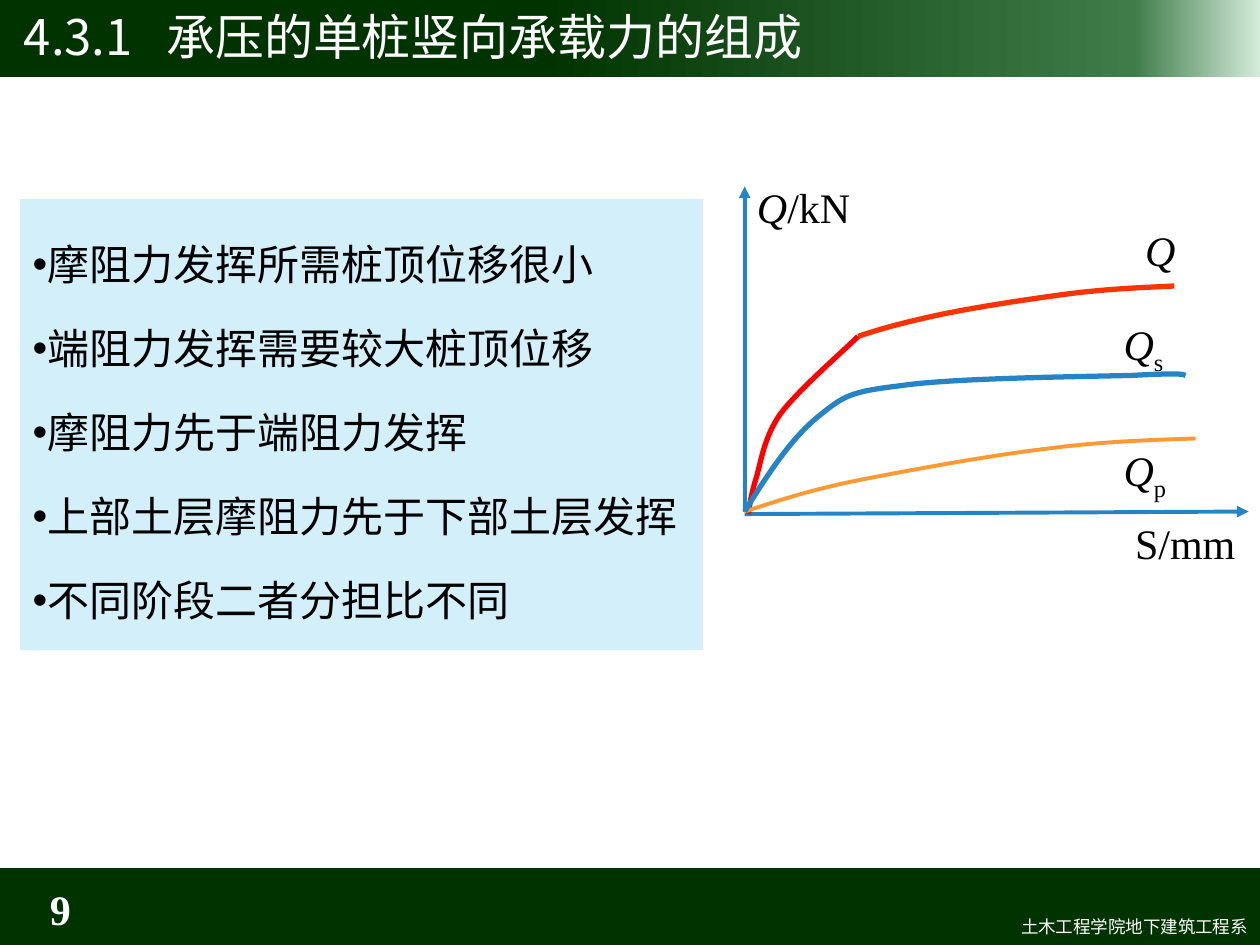
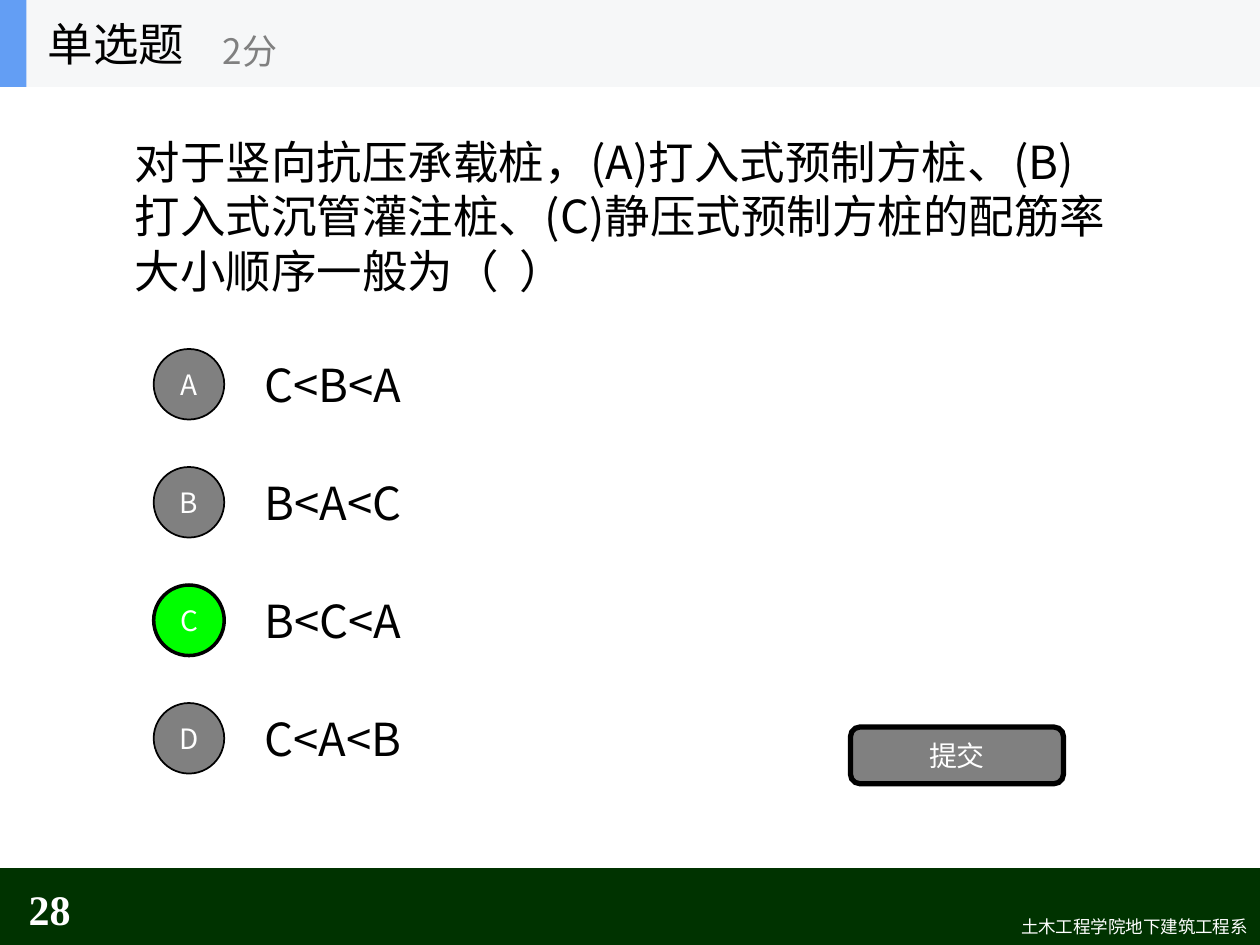
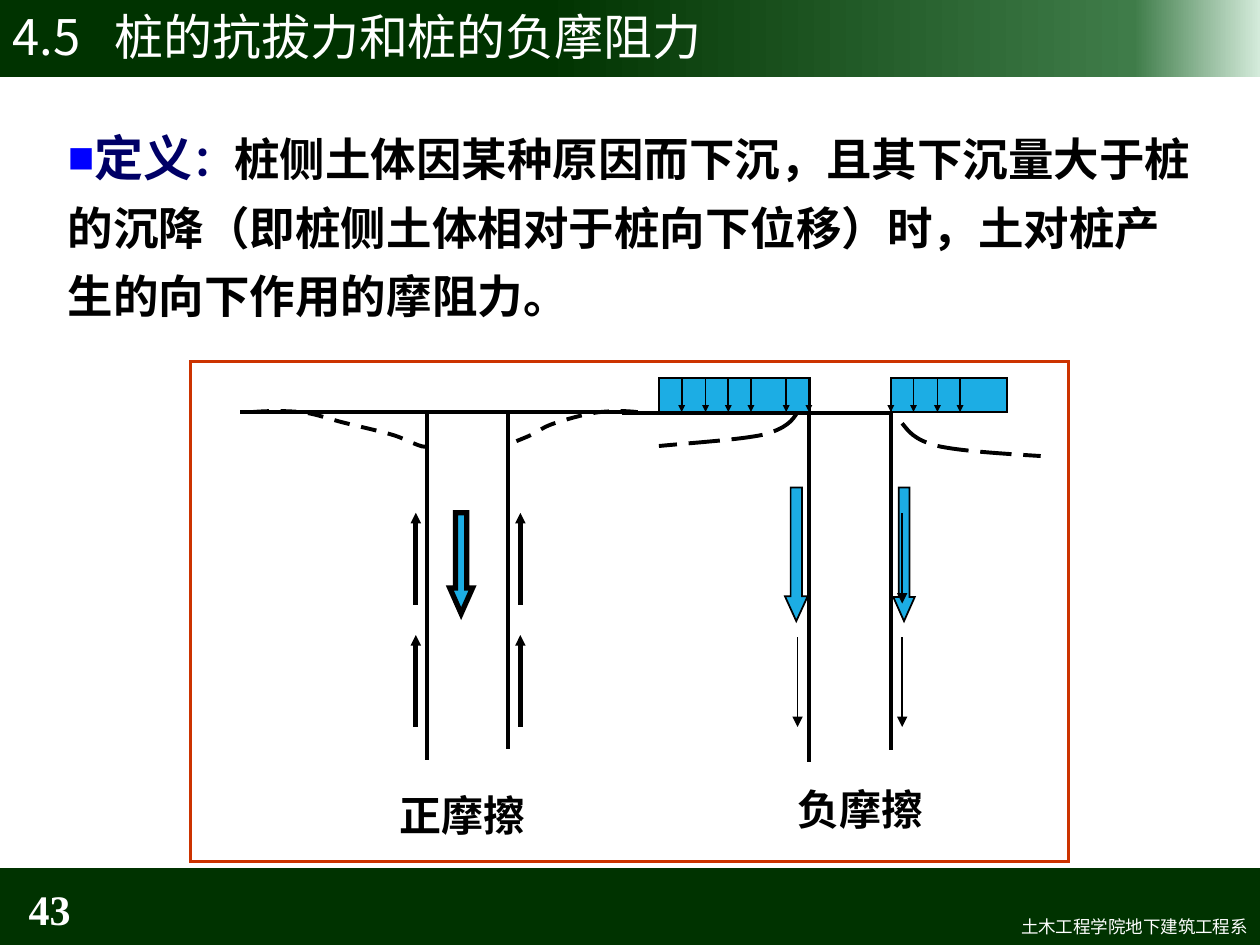
"""Build three slides on the vertical bearing capacity of piles."""
from copy import deepcopy
from dataclasses import dataclass, replace
from typing import NamedTuple

from lxml import etree
from pptx import Presentation
from pptx.dml.color import RGBColor
from pptx.enum.dml import MSO_LINE
from pptx.enum.shapes import MSO_CONNECTOR, MSO_SHAPE
from pptx.enum.text import MSO_ANCHOR, PP_ALIGN
from pptx.oxml.ns import qn
from pptx.shapes.autoshape import Shape
from pptx.slide import Slide
from pptx.text.text import TextFrame, _Paragraph, _Run
from pptx.util import Inches, Pt

LEFT, CENTER, RIGHT = PP_ALIGN.LEFT, PP_ALIGN.CENTER, PP_ALIGN.RIGHT
TOP, MIDDLE = MSO_ANCHOR.TOP, MSO_ANCHOR.MIDDLE
RECTANGLE, ELLIPSE = MSO_SHAPE.RECTANGLE, MSO_SHAPE.OVAL
ROUNDED, DOWN_ARROW = MSO_SHAPE.ROUNDED_RECTANGLE, MSO_SHAPE.DOWN_ARROW
DASH, LONG_DASH = MSO_LINE.DASH, MSO_LINE.LONG_DASH
STRAIGHT = MSO_CONNECTOR.STRAIGHT
SMALL, MEDIUM = "sm", "med"
FLAT, SQUARE = "flat", "sq"

SANS, SERIF = "Noto Sans CJK SC", "Times New Roman"
BLACK, WHITE, GREY = "000000", "FFFFFF", "808080"
DARK_GREEN, AXIS_BLUE, SOIL_BLUE = "003300", "2683C6", "1CADE4"
BAND_STOPS = ((0.43, DARK_GREEN), (0.9, "3F7C49"), (1.0, "D4EBDB"))
DEPARTMENT = "土木工程学院地下建筑工程系"

Point = tuple[float, float]


class Frame(NamedTuple):
    """Position and size in inches."""
    left: float
    top: float
    width: float
    height: float


@dataclass(frozen=True)
class Style:
    """Character formatting."""
    size: float
    color: str = BLACK
    font: str = SANS
    bold: bool = False
    italic: bool = False
    subscript: bool = False


class Span(NamedTuple):
    """A piece of text in one style."""
    text: str
    style: Style


class Stroke(NamedTuple):
    """Outline colour, width in points and dash."""
    color: str = BLACK
    width: float = 2.25
    dash: MSO_LINE | None = None


class Segment(NamedTuple):
    """A straight line, with the size of the arrowhead at its end if any."""
    start: Point
    end: Point
    stroke: Stroke = Stroke()
    arrow: str | None = None


class Curve(NamedTuple):
    """A chain of cubic curves: a start, then three points for each piece."""
    points: tuple[Point, ...]
    stroke: Stroke


class Block(NamedTuple):
    """A filled downward arrow."""
    frame: Frame
    head_ratio: float
    line_width: float


class Caption(NamedTuple):
    """A bold label with its left and top insets."""
    frame: Frame
    text: str
    left_inset: float
    top_inset: float


TOP_BAND, BOTTOM_BAND = Frame(0, -0.03, 10, 0.64), Frame(0, 6.89, 10, 0.64)
SYMBOL = Style(24, font=SERIF, italic=True)
UPRIGHT = replace(SYMBOL, italic=False)
SUBSCRIPT = replace(UPRIGHT, subscript=True)
OPTION = Style(26)
BUTTON = Style(16, WHITE)

FINDINGS = (
    "摩阻力发挥所需桩顶位移很小",
    "端阻力发挥需要较大桩顶位移",
    "摩阻力先于端阻力发挥",
    "上部土层摩阻力先于下部土层发挥",
    "不同阶段二者分担比不同",
)
AXES = (
    Segment((5.91, 4.06), (5.91, 1.48), Stroke(AXIS_BLUE), MEDIUM),
    Segment((5.91, 4.08), (9.91, 4.06), Stroke(AXIS_BLUE), MEDIUM),
)
LOAD_CURVES = (
    Curve(((5.94, 4.08), (5.95, 4.01), (5.96, 3.93), (6, 3.8), (6.04, 3.67), (6.06, 3.48),
           (6.19, 3.29), (6.33, 3.1), (6.7, 2.78), (6.81, 2.67)), Stroke("FF0000", 3)),
    Curve(((5.91, 4.06), (6.16, 3.98), (6.42, 3.89), (6.82, 3.81), (7.23, 3.73), (7.88, 3.61),
           (8.32, 3.56), (8.77, 3.5), (9.21, 3.49), (9.49, 3.48)), Stroke("FF9933")),
    Curve(((5.91, 4.06), (6.09, 3.77), (6.28, 3.48), (6.49, 3.31), (6.7, 3.14), (6.74, 3.11),
           (7.16, 3.06), (7.57, 3), (8.61, 2.99), (8.99, 2.98), (9.36, 2.96), (9.39, 2.97),
           (9.41, 2.98)), Stroke(AXIS_BLUE, 3)),
    Curve(((6.81, 2.67), (6.99, 2.61), (7.17, 2.56), (7.45, 2.5), (7.73, 2.44), (8.19, 2.37),
           (8.5, 2.33), (8.82, 2.29), (9.13, 2.28), (9.32, 2.27)), Stroke("FF3300", 3)),
)
LOAD_LABELS = (
    (Frame(5.91, 1.39, 1.17, 0.5), (Span("Q", SYMBOL), Span("/kN", UPRIGHT))),
    (Frame(8.82, 2.48, 0.67, 0.5), (Span("Q", SYMBOL), Span("s", SUBSCRIPT))),
    (Frame(8.82, 3.48, 0.67, 0.5), (Span("Q", SYMBOL), Span("p", SUBSCRIPT))),
    (Frame(8.99, 1.73, 0.67, 0.5), (Span("Q", SYMBOL),)),
    (Frame(8.91, 4.06, 1.08, 0.5), (Span("S/mm", UPRIGHT),)),
)

QUESTION = ("对于竖向抗压承载桩，(A)打入式预制方桩、(B)打入式沉管灌注桩、"
            "(C)静压式预制方桩的配筋率大小顺序一般为（  ）")
ANSWERS = (("A", "C<B<A"), ("B", "B<A<C"), ("C", "B<C<A"), ("D", "C<A<B"))
CORRECT = "C"
FIRST_ANSWER_TOP, LAST_ANSWER_TOP = 2.77, 5.58

DEFINITION = (
    Span("定义", Style(28, "000066", bold=True)),
    Span("：", Style(24, "000066", bold=True)),
    Span("桩侧土体因某种原因而下沉，且其下沉量大于桩的沉降（即桩侧土体相对于桩向下位移）时，"
         "土对桩产生的向下作用的摩阻力。", Style(26, bold=True)),
)
SURCHARGES = (Frame(5.23, 3, 1.2, 0.27), Frame(7.07, 3, 0.92, 0.27))
SURCHARGE_ARROWS = tuple(
    Segment((x, 3), (x, 3.27), Stroke(width=1), SMALL)
    for x in (5.41, 5.6, 5.78, 5.96, 6.24, 6.42, 7.07, 7.25, 7.44, 7.62)
)
BLOCKS = (
    Block(Frame(3.57, 4.07, 0.18, 0.8), 1.125, 3),
    Block(Frame(6.23, 3.87, 0.18, 1.06), 1.094, 1),
    Block(Frame(7.09, 3.87, 0.17, 1.06), 1.122, 1),
)
PILE_LINES = (
    Segment((1.92, 3.27), (3.39, 3.27)),
    Segment((3.39, 3.27), (4.03, 3.27)),
    Segment((4.03, 3.27), (5.05, 3.27)),
    Segment((3.39, 3.27), (3.39, 6.02)),
    Segment((4.03, 5.93), (4.03, 3.27)),
    Segment((4.95, 3.28), (6.42, 3.28)),
    Segment((6.42, 3.28), (7.07, 3.28)),
    Segment((6.42, 3.28), (6.42, 6.03)),
    Segment((7.07, 5.94), (7.07, 3.28)),
)
FRICTION_UP = tuple(
    Segment((x, bottom), (x, bottom - 0.71), Stroke(width=3), SMALL)
    for x in (3.3, 4.13) for bottom in (4.78, 5.75)
)
FRICTION_DOWN = tuple(
    Segment((x, top), (x, top + 0.71), Stroke(width=1), MEDIUM)
    for x, top in ((6.33, 5.06), (7.16, 4.08), (7.16, 5.06))
)
SETTLEMENTS = (
    Curve(((2.01, 3.27), (2.13, 3.26), (2.26, 3.26), (2.38, 3.27), (2.5, 3.28), (2.62, 3.33),
           (2.75, 3.36), (2.87, 3.39), (3.01, 3.42), (3.11, 3.45), (3.22, 3.48), (3.36, 3.57),
           (3.39, 3.54)), Stroke(dash=DASH)),
    Curve(((5.05, 3.27), (4.96, 3.26), (4.88, 3.26), (4.77, 3.27), (4.66, 3.28), (4.49, 3.33),
           (4.4, 3.36), (4.31, 3.39), (4.28, 3.42), (4.22, 3.45), (4.16, 3.48), (3.99, 3.54),
           (4.03, 3.54)), Stroke(dash=DASH)),
    Curve(((6.33, 3.27), (6.29, 3.34), (6.24, 3.4), (6.06, 3.45), (5.87, 3.49), (5.55, 3.51),
           (5.23, 3.54)), Stroke(dash=LONG_DASH)),
    Curve(((7.16, 3.36), (7.21, 3.42), (7.25, 3.49), (7.44, 3.54), (7.62, 3.58), (7.94, 3.6),
           (8.26, 3.62)), Stroke(dash=LONG_DASH)),
)
FRICTION_CAPTIONS = (
    Caption(Frame(2.99, 6.16, 2.02, 0.61), "正摩擦", 0.18, 0.11),
    Caption(Frame(6.23, 6.17, 1.68, 0.54), "负摩擦", 0.1, 0.05),
)


def rgb(color: str) -> RGBColor:
    """Turn a hex string into a colour."""
    return RGBColor.from_string(color)


def place(frame: Frame) -> tuple[int, ...]:
    """Turn a frame into lengths."""
    return tuple(Inches(value) for value in frame)


def style_run(run: _Run, style: Style) -> None:
    """Format a run, with the sans font for Chinese text."""
    font = run.font
    font.size, font.name = Pt(style.size), style.font
    font.bold, font.italic = style.bold, style.italic
    font.color.rgb = rgb(style.color)
    properties = run._r.get_or_add_rPr()
    if style.subscript:
        properties.set("baseline", "-25000")
    east_asian = etree.Element(qn("a:ea"), typeface=SANS)
    properties.find(qn("a:latin")).addnext(east_asian)


def set_bullet(paragraph: _Paragraph, character: str, color: str = BLACK, percent: int = 100) -> None:
    """Give a paragraph a bullet."""
    properties = paragraph._p.get_or_add_pPr()
    bullet_color = etree.SubElement(properties, qn("a:buClr"))
    etree.SubElement(bullet_color, qn("a:srgbClr"), val=color)
    etree.SubElement(properties, qn("a:buSzPct"), val=str(percent * 1000))
    etree.SubElement(properties, qn("a:buFont"), typeface="Arial")
    etree.SubElement(properties, qn("a:buChar"), char=character)


def set_tab(paragraph: _Paragraph, position: float) -> None:
    """Give a paragraph one left tab stop."""
    tabs = etree.SubElement(paragraph._p.get_or_add_pPr(), qn("a:tabLst"))
    etree.SubElement(tabs, qn("a:tab"), pos=str(Inches(position)), algn="l")


def write(text_frame: TextFrame, spans: tuple[Span, ...], align: PP_ALIGN = LEFT,
          anchor: MSO_ANCHOR = TOP) -> None:
    """Write one paragraph of styled spans."""
    text_frame.word_wrap = True
    text_frame.vertical_anchor = anchor
    paragraph = text_frame.paragraphs[0]
    paragraph.alignment = align
    for span in spans:
        run = paragraph.add_run()
        run.text = span.text
        style_run(run, span.style)


def add_text(slide: Slide, frame: Frame, spans: tuple[Span, ...], align: PP_ALIGN = LEFT,
             anchor: MSO_ANCHOR = TOP) -> TextFrame:
    """Add a text box holding one paragraph."""
    text_frame = slide.shapes.add_textbox(*place(frame)).text_frame
    write(text_frame, spans, align, anchor)
    return text_frame


def set_stroke(shape: Shape, stroke: Stroke | None) -> None:
    """Set or remove an outline."""
    if stroke is None:
        shape.line.fill.background()
        return
    shape.line.color.rgb = rgb(stroke.color)
    shape.line.width = Pt(stroke.width)
    if stroke.dash is not None:
        shape.line.dash_style = stroke.dash
    etree.SubElement(shape.line._get_or_add_ln(), qn("a:miter"), lim="800000")


def add_shape(slide: Slide, kind: MSO_SHAPE, frame: Frame, fill: str | None,
              stroke: Stroke | None = None) -> Shape:
    """Add a preset shape without shadow."""
    shape = slide.shapes.add_shape(kind, *place(frame))
    shape.shadow.inherit = False
    if fill is None:
        shape.fill.background()
    else:
        shape.fill.solid()
        shape.fill.fore_color.rgb = rgb(fill)
    set_stroke(shape, stroke)
    return shape


def add_segment(slide: Slide, segment: Segment, cap: str = FLAT) -> None:
    """Add a straight line or arrow."""
    ends = (Inches(value) for value in segment.start + segment.end)
    connector = slide.shapes.add_connector(STRAIGHT, *ends)
    set_stroke(connector, segment.stroke)
    line = connector.line._get_or_add_ln()
    line.set("cap", cap)
    if segment.arrow:
        etree.SubElement(line, qn("a:tailEnd"), type="triangle", w=segment.arrow, len=segment.arrow)
    etree.SubElement(connector._element.spPr, qn("a:effectLst"))


def add_curve(slide: Slide, curve: Curve) -> None:
    """Add an open outline of cubic curves."""
    start, *vertices = [(Inches(x), Inches(y)) for x, y in curve.points]
    builder = slide.shapes.build_freeform(*start)
    builder.add_line_segments(vertices, close=False)
    shape = builder.convert_to_shape()
    lines = list(shape._element.iter(qn("a:lnTo")))
    for first in range(0, len(lines), 3):
        cubic = etree.Element(qn("a:cubicBezTo"))
        lines[first].addprevious(cubic)
        for line in lines[first:first + 3]:
            cubic.append(line[0])
            line.getparent().remove(line)
    shape.shadow.inherit = False
    shape.fill.background()
    set_stroke(shape, curve.stroke)


def add_footer(slide: Slide, number: int) -> None:
    """Add the bottom band with page number and department."""
    add_shape(slide, RECTANGLE, BOTTOM_BAND, DARK_GREEN)
    add_text(slide, Frame(4.21, 7.22, 5.79, 0.27), (Span(DEPARTMENT, Style(10, WHITE)),), RIGHT)
    page_style = Style(24, WHITE, SERIF, bold=True)
    add_text(slide, Frame(0, 7.01, 0.66, 0.4), (Span(str(number), page_style),), RIGHT, MIDDLE)


def add_title(slide: Slide, number: str, title: str, inset: float, tab: float) -> None:
    """Add the graded top band with a numbered title."""
    band = add_shape(slide, RECTANGLE, TOP_BAND, DARK_GREEN)
    band.fill.gradient()
    band.fill.gradient_angle = 0
    stop_list = band._element.spPr.find(f".//{qn('a:gsLst')}")
    stop_list.append(deepcopy(stop_list[-1]))
    for stop, (position, color) in zip(band.fill.gradient_stops, BAND_STOPS):
        stop.position = position
        stop.color.rgb = rgb(color)
    text_frame = add_text(slide, Frame(0, -0.03, 10, 0.63),
                          (Span(f"{number}\t{title}", Style(28, WHITE)),), LEFT, MIDDLE)
    text_frame.margin_left = Inches(inset)
    set_tab(text_frame.paragraphs[0], tab)


def build_capacity(slide: Slide) -> None:
    """Draw the findings and the load-settlement diagram."""
    add_title(slide, "4.3.1", "承压的单桩竖向承载力的组成", 0.19, 1.13)
    panel = add_shape(slide, RECTANGLE, Frame(0.16, 1.58, 5.42, 3.58), "D2EFFA")
    text_frame = panel.text_frame
    text_frame.text = "\n".join(FINDINGS)
    text_frame.word_wrap = True
    text_frame.vertical_anchor = TOP
    for paragraph in text_frame.paragraphs:
        paragraph.alignment = LEFT
        paragraph.line_spacing = Pt(48)
        set_bullet(paragraph, "•")
        style_run(paragraph.runs[0], Style(24))
    for axis in AXES:
        add_segment(slide, axis)
    for curve in LOAD_CURVES:
        add_curve(slide, curve)
    for frame, spans in LOAD_LABELS:
        add_text(slide, frame, spans)


def build_quiz(slide: Slide) -> None:
    """Draw the single-choice question."""
    add_text(slide, Frame(0.97, 0.54, 8, 2.34), (Span(QUESTION, OPTION),), LEFT, MIDDLE)
    pitch = (LAST_ANSWER_TOP - FIRST_ANSWER_TOP) / (len(ANSWERS) - 1)
    for row, (letter, answer) in enumerate(ANSWERS):
        top = FIRST_ANSWER_TOP + row * pitch
        fill, width = ("00FF00", 2) if letter == CORRECT else (GREY, 1)
        add_text(slide, Frame(2, top - 0.07, 7, 0.7), (Span(answer, OPTION),), LEFT, MIDDLE)
        circle = add_shape(slide, ELLIPSE, Frame(1.22, top, 0.56, 0.56), fill, Stroke(width=width))
        write(circle.text_frame, (Span(letter, BUTTON),), CENTER, MIDDLE)
    submit = add_shape(slide, ROUNDED, Frame(6.75, 5.77, 1.69, 0.45), GREY, Stroke(width=3))
    write(submit.text_frame, (Span("提交", BUTTON),), CENTER, MIDDLE)
    add_shape(slide, RECTANGLE, Frame(0, 0, 10, 0.69), "F6F7F8")
    add_shape(slide, RECTANGLE, Frame(0, 0, 0.21, 0.69), "639EF4")
    add_text(slide, Frame(0.28, 0, 2.08, 0.69), (Span("单选题", OPTION),), LEFT, MIDDLE)
    add_text(slide, Frame(1.67, 0.12, 2.5, 0.56), (Span("2分", Style(20, GREY)),), LEFT, MIDDLE)


def build_friction(slide: Slide) -> None:
    """Draw the definition and the two friction diagrams."""
    add_title(slide, "4.5", "桩的抗拔力和桩的负摩阻力", 0.1, 0.81)
    definition = add_text(slide, Frame(0.44, 0.88, 9.12, 1.74), DEFINITION, LEFT, MIDDLE)
    paragraph = definition.paragraphs[0]
    paragraph.line_spacing = Pt(39)
    set_bullet(paragraph, "■", "0000FF", 90)
    add_shape(slide, RECTANGLE, Frame(1.51, 2.87, 6.97, 3.97), None, Stroke("CC3300", 1.5))
    for frame in SURCHARGES:
        add_shape(slide, RECTANGLE, frame, SOIL_BLUE, Stroke(width=1))
    for block in BLOCKS:
        arrow = add_shape(slide, DOWN_ARROW, block.frame, SOIL_BLUE, Stroke(width=block.line_width))
        arrow.adjustments[0] = 0.5
        arrow.adjustments[1] = block.head_ratio
    for segment in PILE_LINES + FRICTION_UP + FRICTION_DOWN + SURCHARGE_ARROWS:
        add_segment(slide, segment, SQUARE)
    for curve in SETTLEMENTS:
        add_curve(slide, curve)
    for caption in FRICTION_CAPTIONS:
        span = Span(caption.text, Style(24, font=SERIF, bold=True))
        text_frame = add_text(slide, caption.frame, (span,))
        text_frame.margin_left = Inches(caption.left_inset)
        text_frame.margin_top = Inches(caption.top_inset)


def main() -> None:
    """Build and save the presentation."""
    presentation = Presentation()
    presentation.slide_width, presentation.slide_height = Inches(10), Inches(7.5)
    for number, build in ((9, build_capacity), (28, build_quiz), (43, build_friction)):
        slide = presentation.slides.add_slide(presentation.slide_layouts[6])
        add_footer(slide, number)
        build(slide)
    presentation.save("out.pptx")


if __name__ == "__main__":
    main()
